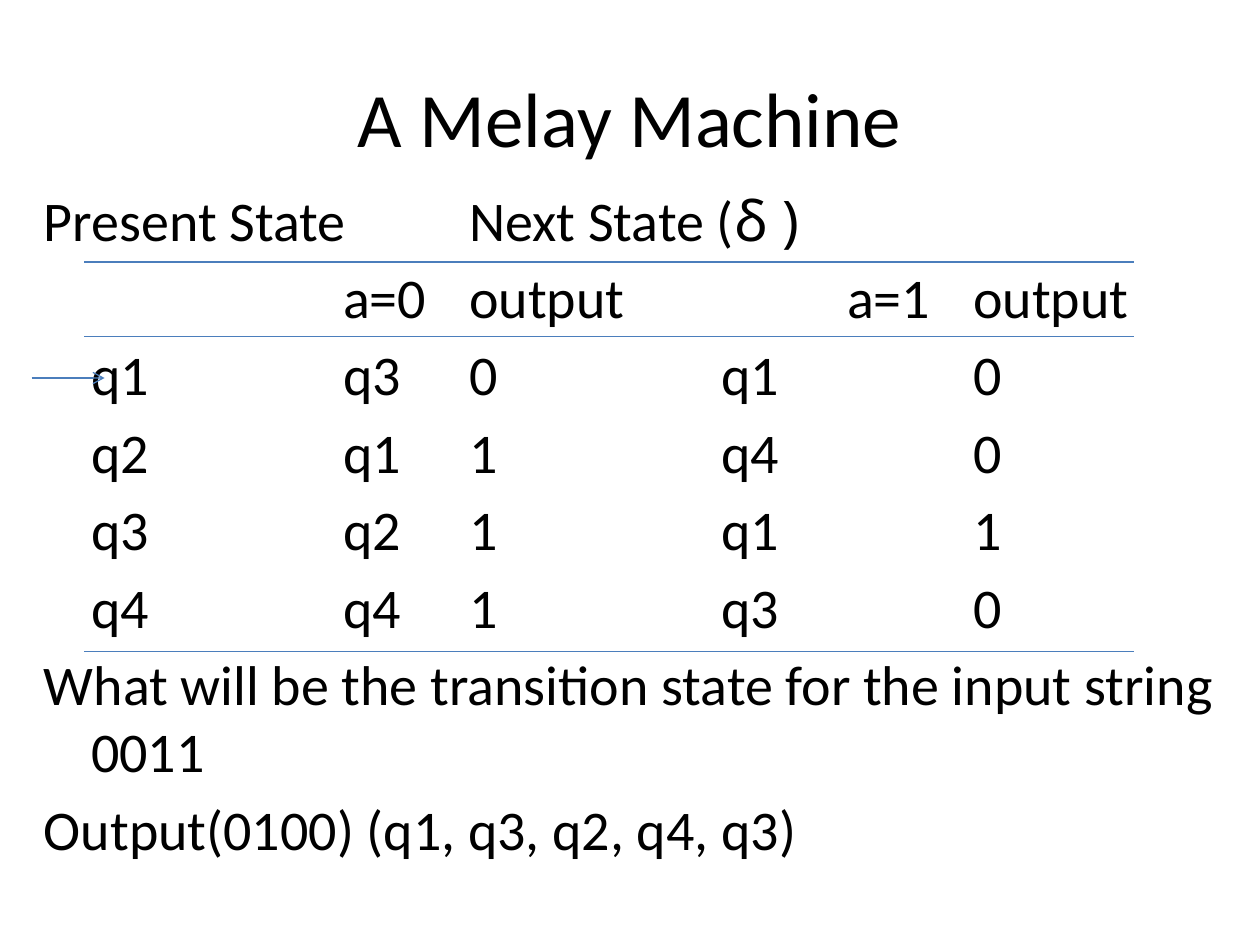
import pptx
import pptx.util
import pptx.dml.color
import pptx.enum.text
import pptx.enum.shapes
import pptx.oxml
import pptx.oxml.ns
from dataclasses import dataclass

Inch = pptx.util.Inches
Align = pptx.enum.text.PP_ALIGN
Anchor = pptx.enum.text.MSO_ANCHOR


@dataclass(frozen=True)
class Theme:
    ink: str = "000000"
    rule: str = "4B7EBC"
    paper: str = "FFFFFF"
    face: str = "Calibri"
    greek: str = "Noto Sans"
    head: float = 44
    body: float = 32
    gap: float = 5.8
    line: float = 0.75


LOOK = Theme()
WIDE, HIGH = 10, 7.5
TAB, HANG = 1, 0.375

TITLE = "A Melay Machine"
HEADS = [("Present State\tNext State (", LOOK.face), ("δ )", LOOK.greek)]
INPUTS = ("a=0", "output", "a=1", "output")
STATES = [
    ("q1", "q3", "0", "q1", "0"),
    ("q2", "q1", "1", "q4", "0"),
    ("q3", "q2", "1", "q1", "1"),
    ("q4", "q4", "1", "q3", "0"),
]
NOTES = [
    "What will be the transition state for the input string 0011",
    "Output(0100) (q1, q3, q2, q4, q3)",
]
RULES = (2.08, 2.67, 5.17)
LEFT, RIGHT = 0.67, 9
START = (0.25, 3, 0.83, 3)


def tabbed(cells, stops):
    line, last = "", 0
    for cell, stop in zip(cells, stops):
        line += "\t" * (stop - last) + cell
        last = stop
    return line


def write(frame, paras, size=LOOK.body, align=Align.LEFT,
          anchor=Anchor.TOP, gap=0, hang=0):
    frame.word_wrap = True
    frame.auto_size = pptx.enum.text.MSO_AUTO_SIZE.NONE
    frame.vertical_anchor = anchor
    for i, runs in enumerate(paras):
        para = frame.add_paragraph() if i else frame.paragraphs[0]
        para.alignment = align
        para.space_before = pptx.util.Pt(gap if i else 0)
        props = para._p.get_or_add_pPr()
        props.set("marL", str(Inch(hang)))
        props.set("indent", str(-Inch(hang)))
        props.set("defTabSz", str(Inch(TAB)))
        if isinstance(runs, str):
            runs = [(runs, LOOK.face)]
        for words, face in runs:
            run = para.add_run()
            run.text = words
            run.font.name = face
            run.font.size = pptx.util.Pt(size)
            run.font.color.rgb = pptx.dml.color.RGBColor.from_string(LOOK.ink)


def draw(slide, ends, arrow=False):
    kind = pptx.enum.shapes.MSO_CONNECTOR.STRAIGHT
    link = slide.shapes.add_connector(kind, *map(Inch, ends))
    link.line.color.rgb = pptx.dml.color.RGBColor.from_string(LOOK.rule)
    link.line.width = pptx.util.Pt(LOOK.line)
    props = link._element.spPr
    if arrow:
        tip = pptx.oxml.parse_xml(
            f'<a:tailEnd {pptx.oxml.ns.nsdecls("a")} type="arrow"/>')
        link.line._get_or_add_ln().append(tip)
    props.append(pptx.oxml.parse_xml(
        f'<a:effectLst {pptx.oxml.ns.nsdecls("a")}/>'))


def main():
    deck = pptx.Presentation()
    deck.slide_width, deck.slide_height = Inch(WIDE), Inch(HIGH)
    slide = deck.slides.add_slide(deck.slide_layouts[5])
    fill = slide.background.fill
    fill.solid()
    fill.fore_color.rgb = pptx.dml.color.RGBColor.from_string(LOOK.paper)

    title = slide.shapes.title
    title.left, title.top = Inch(WIDE * 0.05), Inch(HIGH * 0.04)
    title.width, title.height = Inch(WIDE * 0.9), Inch(1.25)
    write(title.text_frame, [TITLE], size=LOOK.head,
          align=Align.CENTER, anchor=Anchor.MIDDLE)

    box = slide.shapes.add_textbox(
        Inch(0.25), Inch(1.42), Inch(WIDE * 0.95), Inch(5.67))
    rows = [tabbed(INPUTS, (3, 4, 6, 7))]
    rows += [tabbed(row, (1, 3, 4, 6, 8)) for row in STATES]
    write(box.text_frame, [HEADS, *rows, *NOTES], gap=LOOK.gap, hang=HANG)

    for y in RULES:
        draw(slide, (LEFT, y, RIGHT, y))
    draw(slide, START, arrow=True)
    deck.save("out.pptx")


if __name__ == "__main__":
    main()
